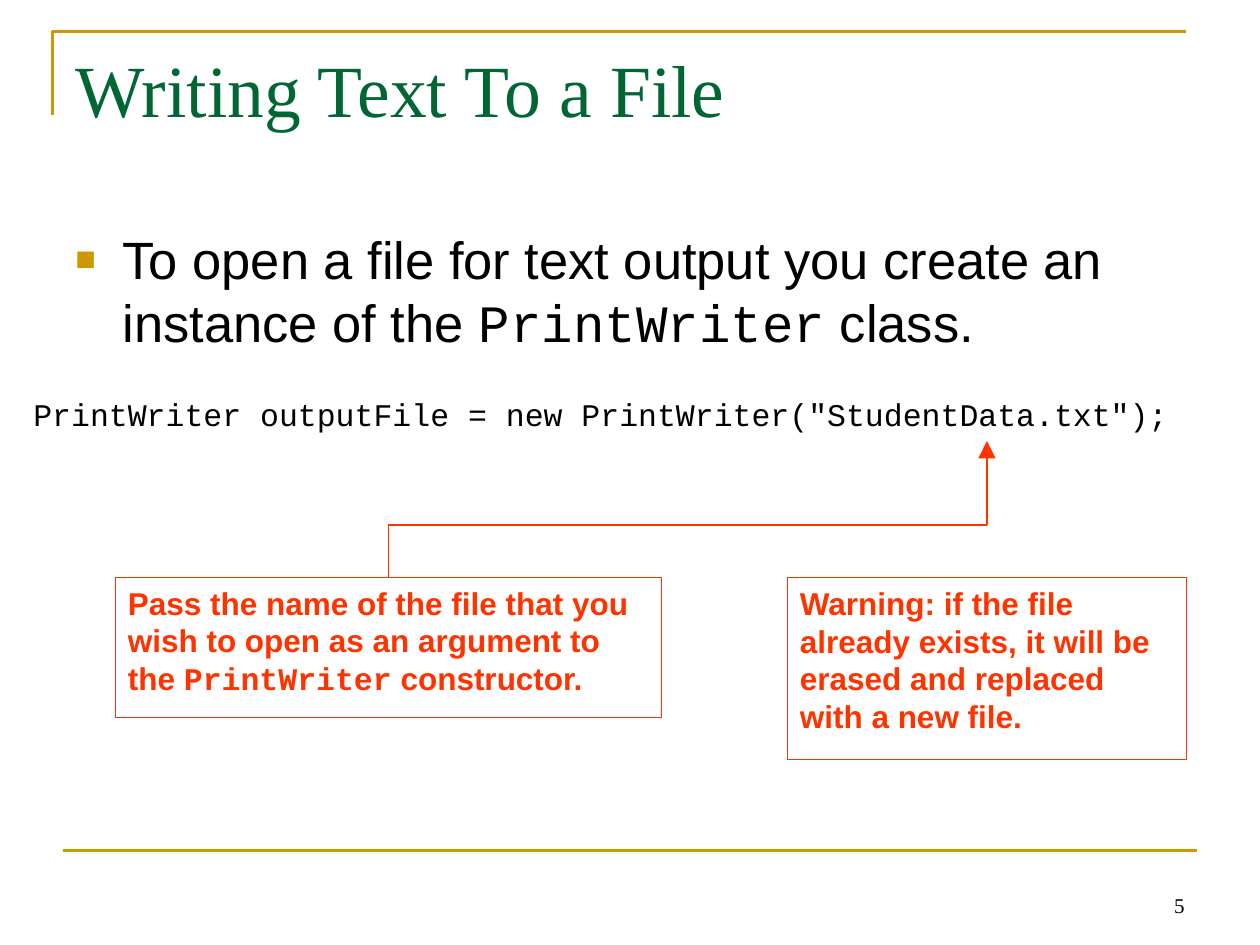
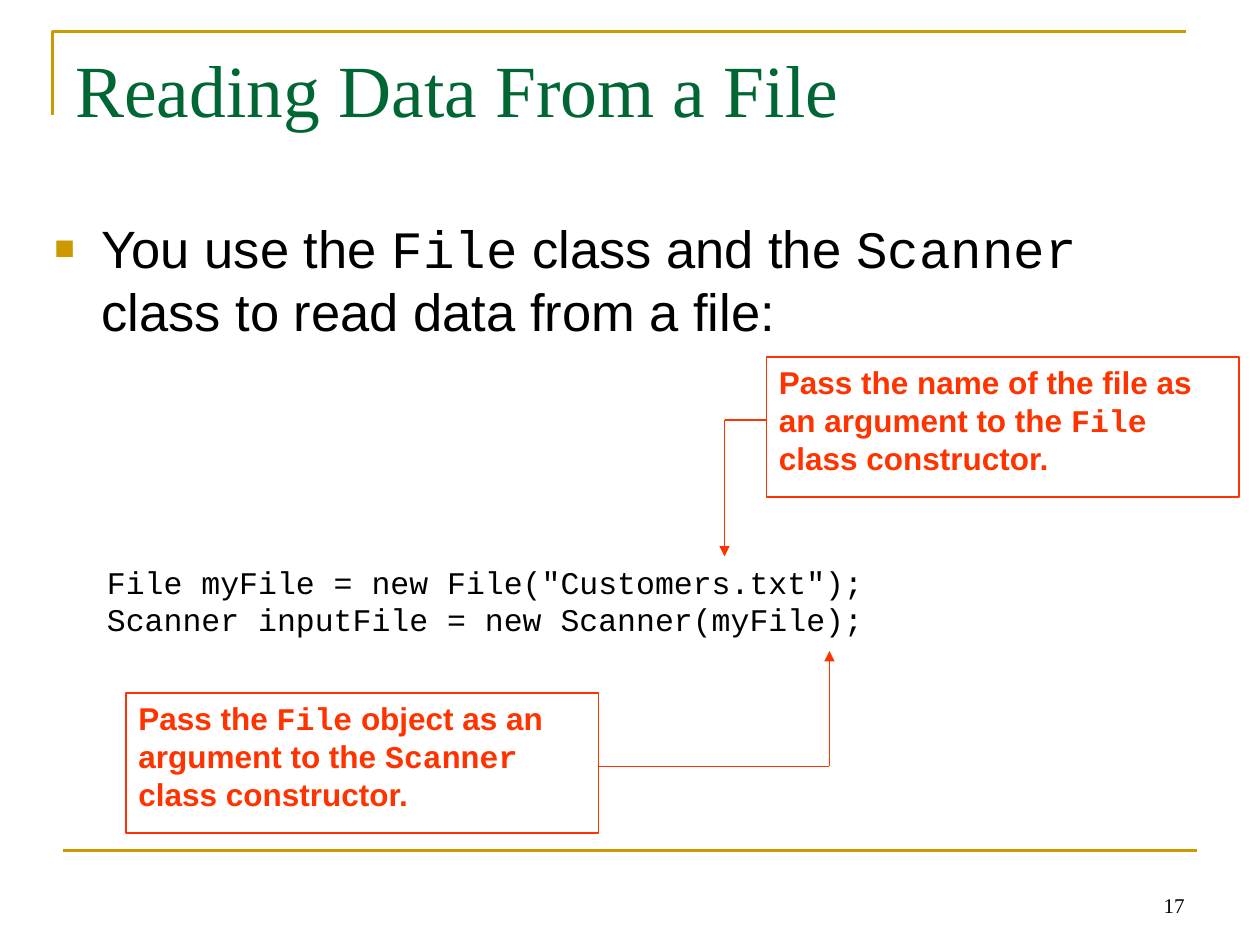
from dataclasses import dataclass
from typing import Any

from lxml.etree import SubElement
from pptx import Presentation
from pptx.dml.color import RGBColor
from pptx.enum.shapes import MSO_CONNECTOR as Connector, MSO_SHAPE as Preset
from pptx.enum.text import MSO_ANCHOR as Anchor, PP_ALIGN as Align
from pptx.oxml.ns import qn
from pptx.util import Pt

COLORS = {"rule": "CC9900", "title": "006633", "ink": "000000", "callout": "FF3300"}
CODE_FONT = "Courier New"
RULE_WIDTH = 1.5
CALLOUT_WIDTH = 0.75
TOP_SIDE = 0

FORMATS: dict[str, dict[str, Any]] = {
    "title": {"name": "Times New Roman", "size": Pt(42), "bold": False},
    "body": {"name": "Arial", "size": Pt(30), "bold": False},
    "code": {"name": CODE_FONT, "size": Pt(18), "bold": False},
    "callout": {"name": "Arial", "size": Pt(18), "bold": True},
    "number": {"name": "Times New Roman", "size": Pt(12), "bold": False},
}
STYLE_COLORS = {"title": "title", "body": "ink", "code": "ink",
                "callout": "callout", "number": "ink"}

Point = tuple[float, float]
Mixed = tuple[str, ...]


@dataclass(frozen=True)
class Area:
    left: float
    top: float
    width: float
    height: float

    def lengths(self) -> tuple[Pt, ...]:
        return Pt(self.left), Pt(self.top), Pt(self.width), Pt(self.height)


@dataclass(frozen=True)
class Callout:
    area: Area
    words: Mixed
    route: tuple[Point, ...] = ()
    head_size: str = "med"
    joined: bool = False


@dataclass(frozen=True)
class Lesson:
    title: str
    number: int
    body_area: Area
    body: Mixed
    code_area: Area
    code: tuple[str, ...]
    callouts: tuple[Callout, ...]


TITLE_AREA = Area(36, 21.6, 648, 90)
NUMBER_AREA = Area(516, 492, 168, 36)

LESSONS = (
    Lesson(
        "Writing Text To a File", 5,
        Area(36, 126, 648, 356.4),
        ("To open a file for text output you create an instance of the ",
         "PrintWriter", " class."),
        Area(12, 222, 690, 29),
        ('PrintWriter outputFile = new PrintWriter("StudentData.txt");',),
        (
            Callout(
                Area(66, 330, 312, 80),
                ("Pass the name of the file that you wish to open as an argument to the ",
                 "PrintWriter", " constructor."),
                ((222, 330), (222, 300), (564, 300), (564, 252)),
                head_size="lg", joined=True),
            Callout(
                Area(450, 330, 228, 104),
                ("Warning: if the file already exists, it will be erased "
                 "and replaced with a new file.",)),
        ),
    ),
    Lesson(
        "Reading Data From a File", 17,
        Area(24, 120, 654, 120),
        ("You use the ", "File", " class and the ", "Scanner",
         " class to read data from a file:"),
        Area(54, 318, 516, 55.5),
        ('File myFile = new File("Customers.txt");',
         "Scanner inputFile = new Scanner(myFile);"),
        (
            Callout(
                Area(438, 204, 270, 80),
                ("Pass the name of the file as an argument to the ", "File",
                 " class constructor."),
                ((438, 240), (414, 240), (414, 318))),
            Callout(
                Area(72, 396, 270, 80),
                ("Pass the ", "File", " object as an argument to the ", "Scanner",
                 " class constructor."),
                ((342, 438), (474, 438), (474, 372))),
        ),
    ),
)


def color(name: str) -> RGBColor:
    return RGBColor.from_string(COLORS[name])


def set_line(shape: Any, name: str, width: float) -> None:
    shape.line.color.rgb = color(name)
    shape.line.width = Pt(width)


def write(para: Any, words: Mixed, style: str) -> None:
    for index, text in enumerate(words):
        span = para.add_run()
        span.text = text
        for attribute, value in FORMATS[style].items():
            setattr(span.font, attribute, value)
        span.font.color.rgb = color(STYLE_COLORS[style])
        if index % 2:
            span.font.name = CODE_FONT


def add_text(page: Any, area: Area, lines: tuple[Mixed, ...], style: str,
             anchor: Any = Anchor.TOP, align: Any = Align.LEFT) -> Any:
    box = page.shapes.add_textbox(*area.lengths())
    frame = box.text_frame
    frame.word_wrap = True
    frame.vertical_anchor = anchor
    for index, words in enumerate(lines):
        para = frame.add_paragraph() if index else frame.paragraphs[0]
        para.alignment = align
        write(para, words, style)
    return box


def add_bullet(para: Any) -> None:
    properties = para._p.get_or_add_pPr()
    properties.set("marL", str(Pt(27)))
    properties.set("indent", str(-Pt(27)))
    tint = SubElement(properties, qn("a:buClr"))
    SubElement(tint, qn("a:srgbClr"), val=COLORS["rule"])
    SubElement(properties, qn("a:buSzPct"), val="65000")
    SubElement(properties, qn("a:buFont"), typeface="Arial")
    SubElement(properties, qn("a:buChar"), char="■")


def add_line(page: Any, start: Point, end: Point, name: str, width: float) -> Any:
    line = page.shapes.add_connector(
        Connector.STRAIGHT, *(Pt(value) for value in start + end))
    set_line(line, name, width)
    SubElement(line._element.spPr, qn("a:effectLst"))
    return line


def add_callout(page: Any, callout: Callout) -> None:
    box = page.shapes.add_shape(Preset.RECTANGLE, *callout.area.lengths())
    box.shadow.inherit = False
    box.fill.background()
    set_line(box, "callout", CALLOUT_WIDTH)
    frame = box.text_frame
    frame.word_wrap = True
    frame.vertical_anchor = Anchor.TOP
    para = frame.paragraphs[0]
    para.alignment = Align.LEFT
    write(para, callout.words, "callout")

    legs = [add_line(page, start, end, "callout", CALLOUT_WIDTH)
            for start, end in zip(callout.route, callout.route[1:])]
    if legs:
        SubElement(legs[-1].line._get_or_add_ln(), qn("a:tailEnd"), type="triangle",
                   w=callout.head_size, len=callout.head_size)
    if callout.joined:
        legs[0].begin_connect(box, TOP_SIDE)


def add_frame(page: Any) -> None:
    builder = page.shapes.build_freeform(Pt(30), Pt(66), scale=1.0)
    builder.add_line_segments([(Pt(30), Pt(18)), (Pt(678), Pt(18))], close=False)
    corner = builder.convert_to_shape()
    corner.shadow.inherit = False
    corner.fill.background()
    set_line(corner, "rule", RULE_WIDTH)
    add_line(page, (36, 486), (684, 486), "rule", RULE_WIDTH)


def add_lesson(deck: Any, lesson: Lesson) -> None:
    page = deck.slides.add_slide(deck.slide_layouts[6])
    add_frame(page)
    add_text(page, TITLE_AREA, ((lesson.title,),), "title")
    body = add_text(page, lesson.body_area, (lesson.body,), "body")
    add_bullet(body.text_frame.paragraphs[0])
    add_text(page, lesson.code_area, tuple((line,) for line in lesson.code), "code")
    for callout in lesson.callouts:
        add_callout(page, callout)
    add_text(page, NUMBER_AREA, ((str(lesson.number),),), "number",
             Anchor.BOTTOM, Align.RIGHT)


def main() -> None:
    deck = Presentation()
    deck.slide_width = Pt(720)
    deck.slide_height = Pt(540)
    for lesson in LESSONS:
        add_lesson(deck, lesson)
    deck.save("out.pptx")


if __name__ == "__main__":
    main()
